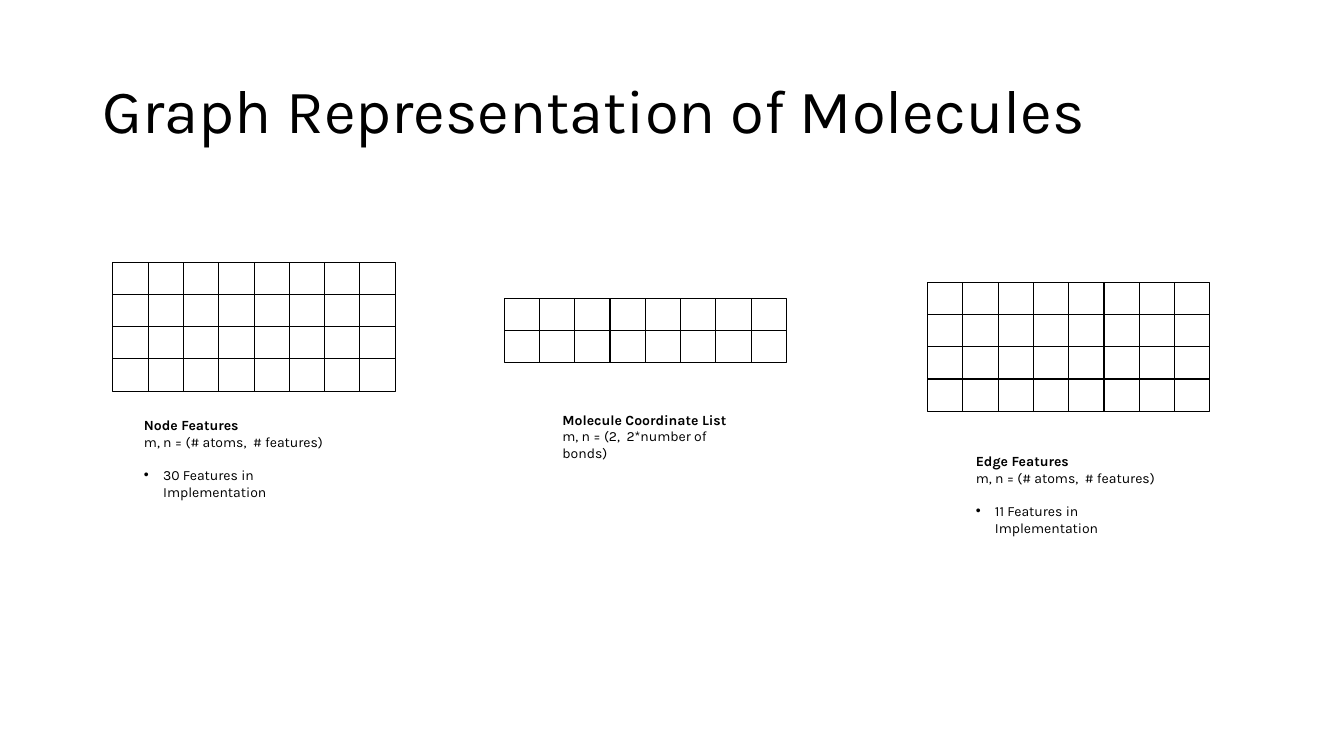
from dataclasses import dataclass

from lxml import etree
from pptx import Presentation
from pptx.dml.color import RGBColor
from pptx.enum.shapes import MSO_SHAPE
from pptx.enum.text import MSO_ANCHOR, MSO_AUTO_SIZE, PP_ALIGN
from pptx.oxml.ns import qn
from pptx.slide import Slide
from pptx.util import Emu, Pt

RECTANGLE = MSO_SHAPE.RECTANGLE
TOP, MIDDLE = MSO_ANCHOR.TOP, MSO_ANCHOR.MIDDLE
FIXED_SIZE, GROW = MSO_AUTO_SIZE.NONE, MSO_AUTO_SIZE.SHAPE_TO_FIT_TEXT
LEFT = PP_ALIGN.LEFT
TITLE_ONLY = 5
EMU_PER_PX = 9144


@dataclass(frozen=True)
class Theme:
    font: str = "Karla"
    ink: RGBColor = RGBColor(0, 0, 0)
    title_size: Pt = Pt(44)
    caption_size: Pt = Pt(10)
    bullet_gap: Pt = Pt(11.7)
    cell_line: Pt = Pt(0.75)


@dataclass(frozen=True)
class Box:
    left: int
    top: int
    width: int
    height: int

    def emu(self) -> tuple[Emu, Emu, Emu, Emu]:
        return px(self.left), px(self.top), px(self.width), px(self.height)


@dataclass(frozen=True)
class Matrix:
    left: int
    top: int
    rows: int
    caption: Box
    heading: str
    dimensions: str
    bullet: str = ""


THEME = Theme()
SLIDE_WIDTH, SLIDE_HEIGHT = 1333, 750
TITLE_BOX = Box(92, 40, 1150, 145)
COLUMNS = 8
CELL_WIDTH, CELL_HEIGHT = 35, 32
BULLET_INDENT = 19

MATRICES = [
    Matrix(112, 260, 4, Box(133, 408, 224, 77), "Node Features",
           "m, n = (# atoms,  # features)", "30 Features in Implementation"),
    Matrix(500, 296, 2, Box(548, 403, 202, 44), "Molecule Coordinate List",
           "m, n = (2,  2*number of bonds)"),
    Matrix(920, 280, 4, Box(958, 444, 224, 77), "Edge Features",
           "m, n = (# atoms,  # features)", "11 Features in Implementation"),
]


def px(length: int) -> Emu:
    return Emu(length * EMU_PER_PX)


def style(paragraph, size: Pt, bold: bool = False) -> None:
    paragraph.alignment = LEFT
    font = paragraph.font
    font.name = THEME.font
    font.size = size
    font.bold = bold
    font.color.rgb = THEME.ink


def add_bullet(paragraph) -> None:
    properties = paragraph._p.get_or_add_pPr()
    properties.set("marL", str(px(BULLET_INDENT)))
    properties.set("indent", str(-px(BULLET_INDENT)))
    etree.SubElement(properties, qn("a:buFont")).set("typeface", "Arial")
    etree.SubElement(properties, qn("a:buChar")).set("char", "•")


def draw_title(slide: Slide, wording: str) -> None:
    title = slide.shapes.title
    title.left, title.top, title.width, title.height = TITLE_BOX.emu()
    frame = title.text_frame
    frame.text = wording
    frame.auto_size = FIXED_SIZE
    frame.vertical_anchor = MIDDLE
    heading = frame.paragraphs[0]
    heading.line_spacing = 0.9
    style(heading, THEME.title_size)


def draw_cells(slide: Slide, matrix: Matrix) -> None:
    grid = slide.shapes.add_group_shape()
    for row in range(matrix.rows):
        for column in range(COLUMNS):
            place = Box(matrix.left + column * CELL_WIDTH,
                        matrix.top + row * CELL_HEIGHT, CELL_WIDTH, CELL_HEIGHT)
            cell = grid.shapes.add_shape(RECTANGLE, *place.emu())
            cell.shadow.inherit = False
            cell.fill.background()
            cell.line.color.rgb = THEME.ink
            cell.line.width = THEME.cell_line


def draw_caption(slide: Slide, matrix: Matrix) -> None:
    frame = slide.shapes.add_textbox(*matrix.caption.emu()).text_frame
    frame.word_wrap = True
    frame.auto_size = GROW
    frame.vertical_anchor = TOP
    heading = frame.paragraphs[0]
    heading.text = matrix.heading
    style(heading, THEME.caption_size, bold=True)
    dimensions = frame.add_paragraph()
    dimensions.text = matrix.dimensions
    style(dimensions, THEME.caption_size)
    if matrix.bullet:
        feature_count = frame.add_paragraph()
        feature_count.text = matrix.bullet
        add_bullet(feature_count)
        feature_count.space_before = THEME.bullet_gap
        style(feature_count, THEME.caption_size)


def main() -> None:
    deck = Presentation()
    deck.slide_width, deck.slide_height = px(SLIDE_WIDTH), px(SLIDE_HEIGHT)
    slide = deck.slides.add_slide(deck.slide_layouts[TITLE_ONLY])
    draw_title(slide, "Graph Representation of Molecules")
    for matrix in MATRICES:
        draw_cells(slide, matrix)
        draw_caption(slide, matrix)
    deck.save("out.pptx")


if __name__ == "__main__":
    main()
